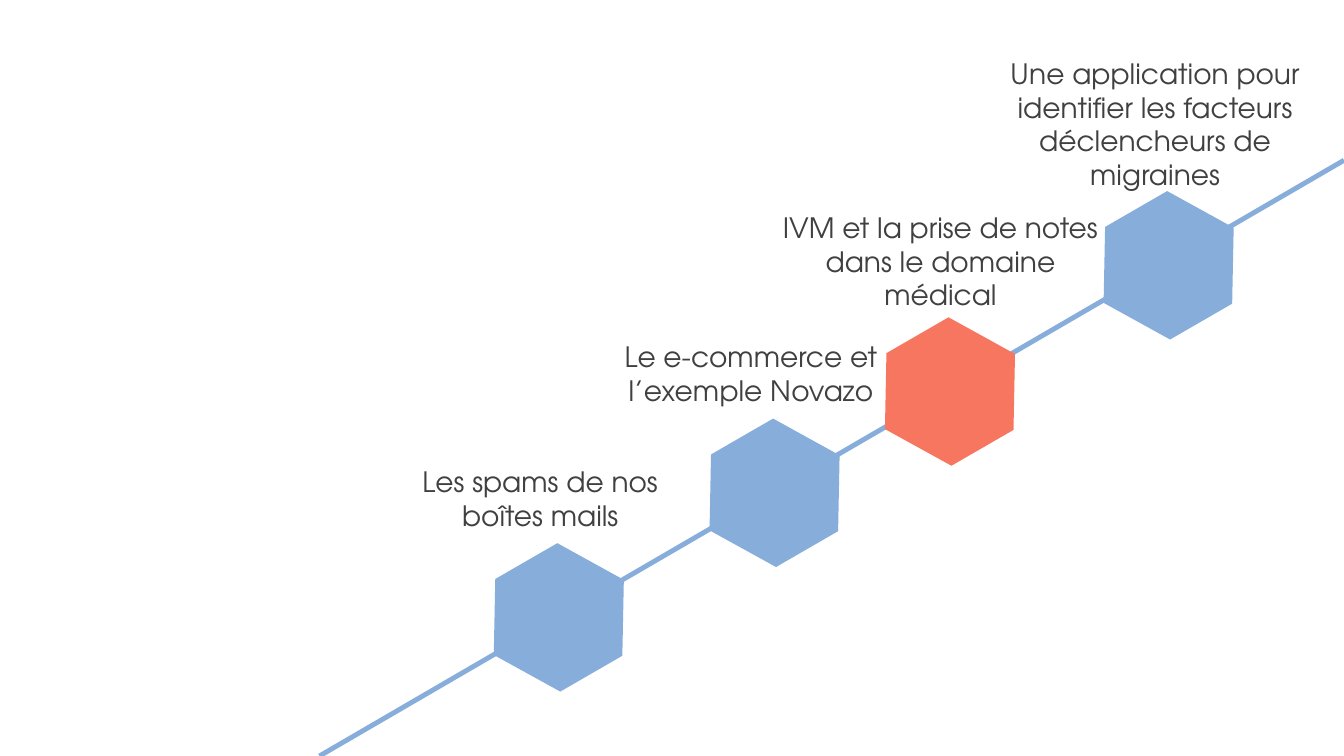
"""Build a slide with a rising line of application examples."""
import math
from collections import namedtuple
from dataclasses import dataclass

from lxml import etree
from pptx import Presentation
from pptx.dml.color import RGBColor
from pptx.enum.shapes import MSO_CONNECTOR, MSO_SHAPE
from pptx.enum.text import MSO_ANCHOR, PP_ALIGN
from pptx.oxml.ns import qn
from pptx.util import Pt

HEXAGON = MSO_SHAPE.HEXAGON
STRAIGHT = MSO_CONNECTOR.STRAIGHT
MIDDLE = MSO_ANCHOR.MIDDLE
CENTER = PP_ALIGN.CENTER

Box = namedtuple("Box", "left top width height")
Milestone = namedtuple("Milestone", "along shift lift lines text color")


@dataclass(frozen=True)
class Theme:
    """Colours, type and line sizes of the slide."""
    blue: RGBColor = RGBColor(0x87, 0xAD, 0xDB)
    coral: RGBColor = RGBColor(0xF7, 0x76, 0x60)
    ink: RGBColor = RGBColor(0x40, 0x40, 0x40)
    font: str = "TeX Gyre Adventor"
    label_size: float = 20
    line_height: float = 24
    path_width: float = 3.5


THEME = Theme()
HEXAGON_WIDTH, HEXAGON_HEIGHT = 107.3, 92.9
LABEL_WIDTH, LABEL_PADDING = 259.2, 7.2
RISE = math.tan(math.radians(30))
FIRST_ALONG, FIRST_UP = 171, 99

MILESTONES = [
    Milestone(171, -13.3, 57.5, 2, "Les spams de nos\nboîtes mails", THEME.blue),
    Milestone(325.1, -16.9, 58, 2, "Le e-commerce et l’exemple Novazo", THEME.blue),
    Milestone(450.4, -6.8, 53.6, 3,
              "IVM et la prise de notes dans le domaine médical", THEME.coral),
    Milestone(606.6, -9.7, 49.6, 4,
              "Une application pour identifier les facteurs déclencheurs de migraines",
              THEME.blue),
]


def draw_path(slide, box):
    """Draw the line from the lower left to the upper right of the box."""
    path = slide.shapes.add_connector(
        STRAIGHT, Pt(box.left), Pt(box.top + box.height),
        Pt(box.left + box.width), Pt(box.top))
    path.line.color.rgb = THEME.blue
    path.line.width = Pt(THEME.path_width)
    etree.SubElement(path._element.spPr, qn("a:effectLst"))


def draw_hexagon(slide, box, color):
    """Draw a tilted hexagon in the box."""
    hexagon = slide.shapes.add_shape(HEXAGON, *map(Pt, box))
    hexagon.adjustments[0] = 0.302
    hexagon.rotation = 330
    hexagon.shadow.inherit = False
    hexagon.fill.solid()
    hexagon.fill.fore_color.rgb = color
    hexagon.line.fill.background()


def draw_label(slide, box, text):
    """Write a centred label in the box."""
    frame = slide.shapes.add_textbox(*map(Pt, box)).text_frame
    frame.word_wrap = True
    frame.vertical_anchor = MIDDLE
    frame.text = text
    for paragraph in frame.paragraphs:
        paragraph.alignment = CENTER
        for run in paragraph.runs:
            run.font.name = THEME.font
            run.font.size = Pt(THEME.label_size)
            run.font.color.rgb = THEME.ink


def draw_timeline(slide, box):
    """Place the line, its hexagons and their labels in the box."""
    draw_path(slide, box)
    for milestone in MILESTONES:
        center = box.left + milestone.along
        up = FIRST_UP + (milestone.along - FIRST_ALONG) * RISE
        middle = box.top + box.height - up
        draw_hexagon(slide, Box(center - HEXAGON_WIDTH / 2, middle - HEXAGON_HEIGHT / 2,
                                HEXAGON_WIDTH, HEXAGON_HEIGHT), milestone.color)
        label_height = milestone.lines * THEME.line_height + LABEL_PADDING
        draw_label(slide, Box(center + milestone.shift - LABEL_WIDTH / 2,
                              middle - milestone.lift - label_height,
                              LABEL_WIDTH, label_height), milestone.text)


def main():
    """Create and save the presentation."""
    deck = Presentation()
    deck.slide_width, deck.slide_height = Pt(960), Pt(540)
    slide = deck.slides.add_slide(deck.slide_layouts[6])
    draw_timeline(slide, Box(228.2, 114.5, 731.8, 425.5))
    deck.save("out.pptx")


if __name__ == "__main__":
    main()
